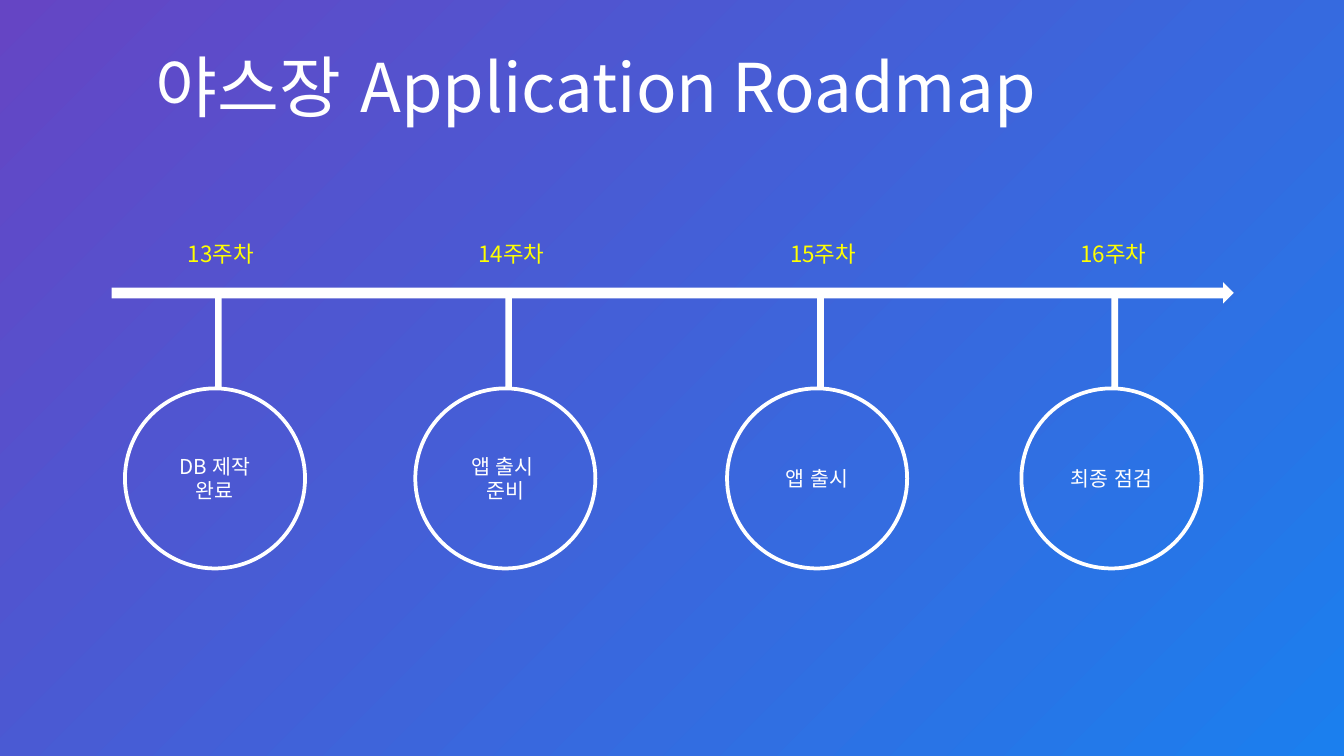
from pptx import Presentation
from pptx.dml.color import RGBColor
from pptx.enum.lang import MSO_LANGUAGE_ID
from pptx.enum.shapes import MSO_SHAPE
from pptx.enum.text import MSO_ANCHOR, MSO_AUTO_SIZE, PP_ALIGN
from pptx.oxml.ns import qn
from pptx.util import Inches, Pt
from lxml.etree import SubElement

PURPLE = RGBColor(0x65, 0x45, 0xC4)
BLUE = RGBColor(0x1B, 0x7F, 0xEE)
WHITE = RGBColor(0xFF, 0xFF, 0xFF)
YELLOW = RGBColor(0xFF, 0xFF, 0x00)
FONT = "Noto Sans CJK KR"

SLIDE_WIDTH = Inches(10)
SLIDE_HEIGHT = SLIDE_WIDTH * 9 // 16
CIRCLE_SIZE = 1.34
CIRCLE_TOP = 2.89
STEM_TOP = 2.18
MILESTONES = [
    (0.93, ["DB 제작 완료"], "13주차", 1.30, 0.79),
    (3.09, ["앱 출시 ", "준비"], "14주차", 3.46, 0.79),
    (5.41, ["앱 출시"], "15주차", 5.78, 0.79),
    (7.60, ["최종 점검"], "16주차", 7.94, 0.76),
]


def write(frame, lines, size, color, align, anchor):
    frame.word_wrap = True
    frame.vertical_anchor = anchor
    for index, line in enumerate(lines):
        paragraph = frame.add_paragraph() if index else frame.paragraphs[0]
        paragraph.alignment = align
        run = paragraph.add_run()
        run.text = line
        font = run.font
        font.size = Pt(size)
        font.name = FONT
        font.color.rgb = color
        font.language_id = MSO_LANGUAGE_ID.KOREAN
        east_asian = SubElement(run._r.get_or_add_rPr(), qn("a:ea"))
        east_asian.set("typeface", FONT)


def paint_background(slide):
    fill = slide.background.fill
    fill.gradient()
    fill.gradient_angle = 315
    for stop, color, position in zip(fill.gradient_stops, (PURPLE, BLUE), (0, 1)):
        stop.color.rgb = color
        stop.position = position


def add_title(slide, text):
    title = slide.shapes.title
    title.left, title.top = Inches(1.06), Inches(0.29)
    title.width, title.height = Inches(7.87), Inches(0.71)
    write(title.text_frame, [text], 36, WHITE, PP_ALIGN.LEFT, MSO_ANCHOR.TOP)
    title.text_frame.auto_size = MSO_AUTO_SIZE.SHAPE_TO_FIT_TEXT


def add_bar(slide, preset, left, top, width, height):
    bar = slide.shapes.add_shape(
        preset, Inches(left), Inches(top), Inches(width), Inches(height))
    bar.shadow.inherit = False
    bar.fill.solid()
    bar.fill.fore_color.rgb = WHITE
    bar.line.fill.background()


def add_circle(slide, left, lines):
    circle = slide.shapes.add_shape(
        MSO_SHAPE.OVAL, Inches(left), Inches(CIRCLE_TOP),
        Inches(CIRCLE_SIZE), Inches(CIRCLE_SIZE))
    circle.shadow.inherit = False
    circle.fill.background()
    circle.line.color.rgb = WHITE
    circle.line.width = Pt(2)
    write(circle.text_frame, lines, 11, WHITE, PP_ALIGN.CENTER, MSO_ANCHOR.MIDDLE)


def add_week(slide, text, left, width):
    week = slide.shapes.add_textbox(
        Inches(left), Inches(1.74), Inches(width), Inches(0.3))
    write(week.text_frame, [text], 12, YELLOW, PP_ALIGN.LEFT, MSO_ANCHOR.TOP)
    week.text_frame.auto_size = MSO_AUTO_SIZE.SHAPE_TO_FIT_TEXT


def add_milestone(slide, left, task, week, week_left, week_width):
    add_bar(slide, MSO_SHAPE.RECTANGLE, left + CIRCLE_SIZE / 2, STEM_TOP,
            0.05, CIRCLE_TOP - STEM_TOP)
    add_circle(slide, left, task)
    add_week(slide, week, week_left, week_width)


def main():
    deck = Presentation()
    deck.slide_width, deck.slide_height = SLIDE_WIDTH, SLIDE_HEIGHT
    slide = deck.slides.add_slide(deck.slide_layouts[5])
    paint_background(slide)
    add_title(slide, "야스장 Application Roadmap")
    add_bar(slide, MSO_SHAPE.RIGHT_ARROW, 0.83, 2.1, 8.35, 0.16)
    for milestone in MILESTONES:
        add_milestone(slide, *milestone)
    deck.save("out.pptx")


main()
